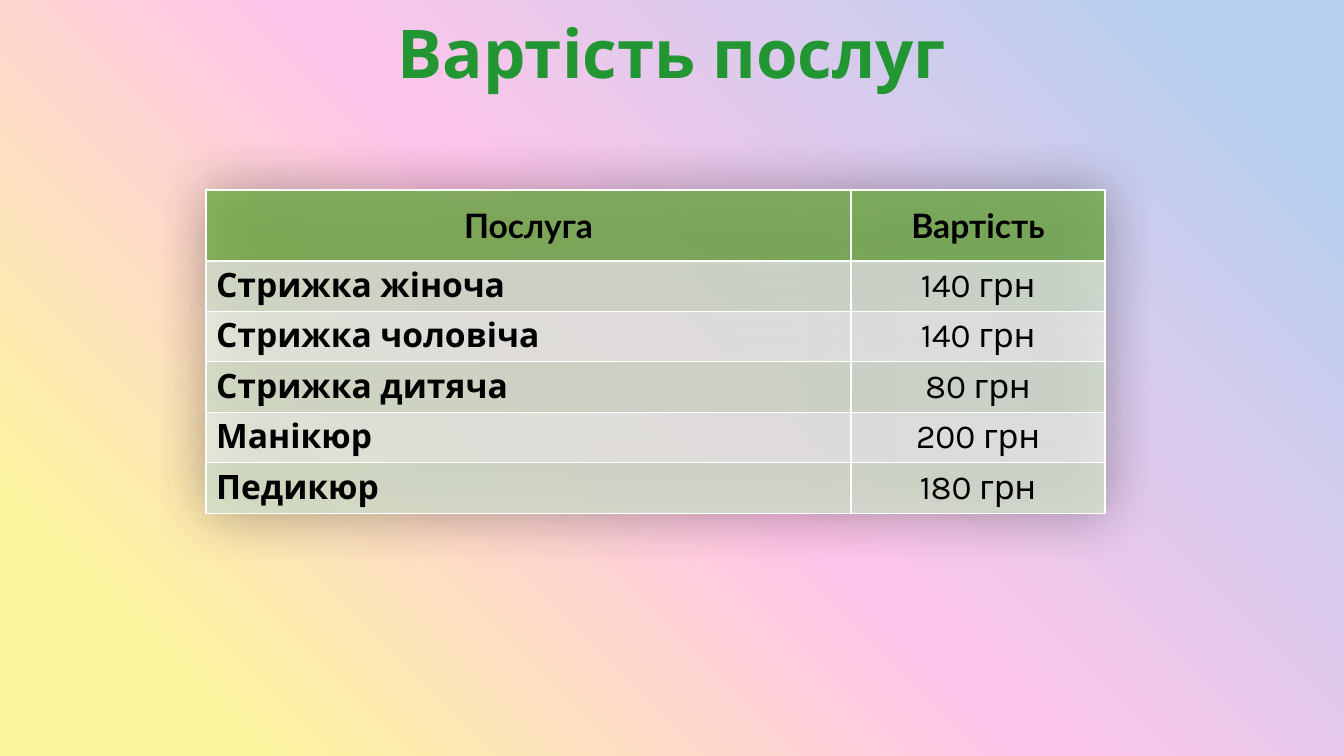
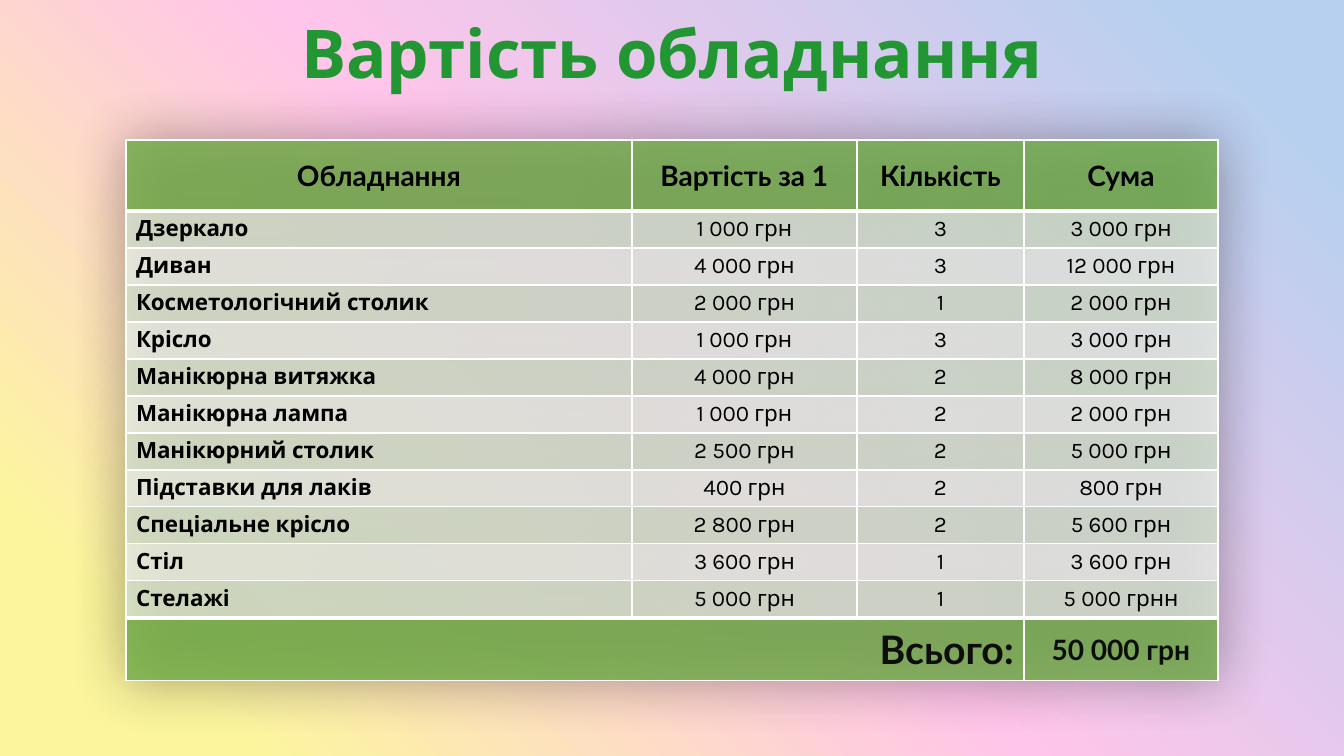
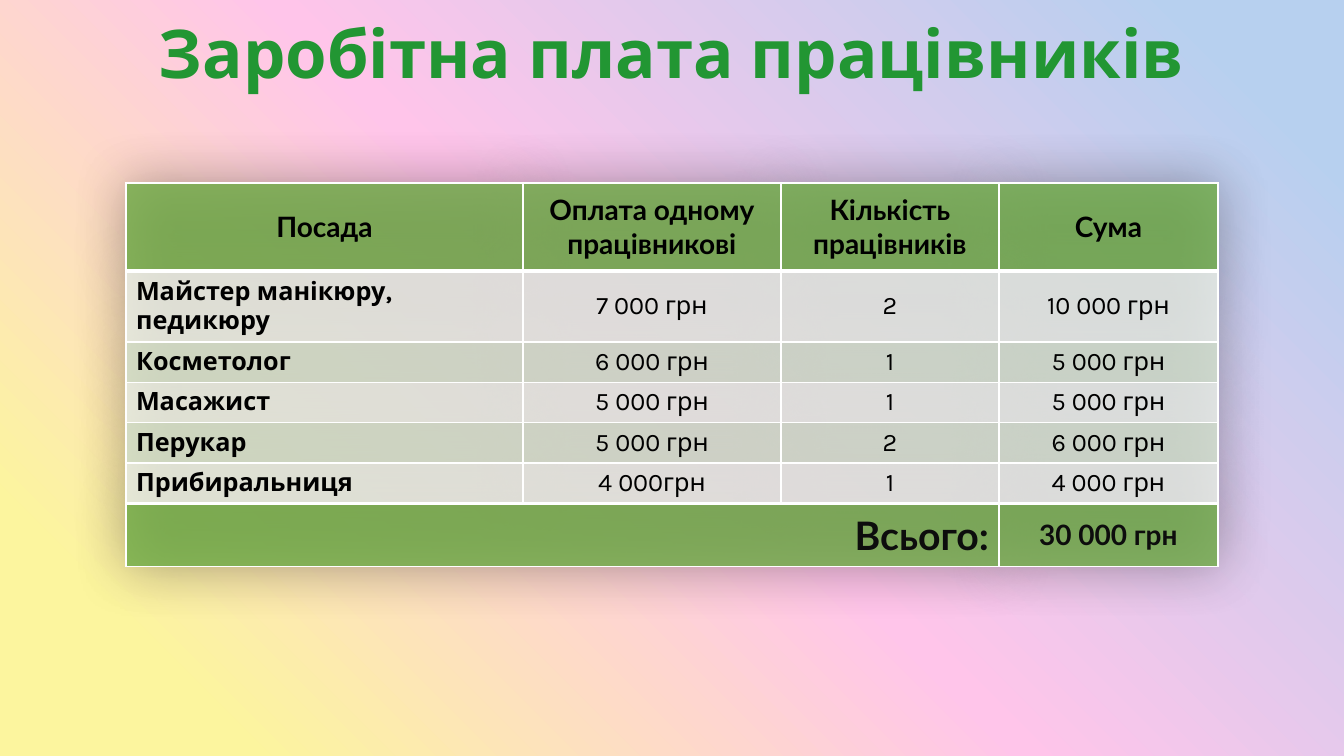
import dataclasses
import pptx
import pptx.dml.color
import pptx.enum.text
import pptx.oxml
import pptx.oxml.ns
import pptx.util

PX = 914400 / 100.8
NS = 'xmlns:a="http://schemas.openxmlformats.org/drawingml/2006/main"'
ALIGN = pptx.enum.text.PP_ALIGN
MIDDLE = pptx.enum.text.MSO_ANCHOR.MIDDLE


@dataclasses.dataclass(frozen=True)
class Theme:
    back: tuple = ((12, "FCF59E"), (49, "FFC5EA"), (92, "B7D0EF"))
    title: tuple = ("229633", "85CA3A")
    total: tuple = ("0D0D0D", "262626")
    ink: str = "000000"
    head: str = "70AD47"
    bands: tuple = ("D5E3CF", "EBF1E9")
    line: str = "FFFFFF"
    alpha: int = 80
    thin: int = 1
    thick: int = 3
    text_font: str = "Karla"
    head_font: str = "Lato"
    title_size: int = 48
    total_size: int = 28


def px(value):
    return pptx.util.Emu(round(value * PX))


def rgb(value):
    return pptx.dml.color.RGBColor.from_string(value)


def xml(text):
    """Parse a fragment whose root tag leaves a slot for the namespace."""
    return pptx.oxml.parse_xml(text.replace(" NS", " " + NS, 1))


class Deck:
    def __init__(self, theme):
        self.theme = theme
        self.file = pptx.Presentation()
        self.file.slide_width, self.file.slide_height = px(1344), px(756)
        self.slide = None
        self.paint()

    def paint(self):
        """Give the slide master the radial background of every slide."""
        stops = "".join(
            f'<a:gs pos="{pos * 1000}"><a:srgbClr val="{tint}"/></a:gs>'
            for pos, tint in self.theme.back)
        master = self.file.slide_master
        master.background.fill.solid()
        plain = master.element.find(".//" + pptx.oxml.ns.qn("p:bgPr"))[0]
        plain.getparent().replace(plain, xml(
            f'<a:gradFill NS rotWithShape="1"><a:gsLst>{stops}</a:gsLst>'
            '<a:path path="circle"><a:fillToRect t="100000" r="100000"/>'
            '</a:path></a:gradFill>'))

    def start(self, title):
        self.slide = self.file.slides.add_slide(self.file.slide_layouts[6])
        box = self.slide.shapes.add_textbox(px(0), px(6), px(1344), px(92))
        box.text_frame.word_wrap = True
        self.label(box.text_frame, title, ALIGN.CENTER, self.theme.title, 45,
                   size=self.theme.title_size, name=self.theme.text_font,
                   bold=True)

    def label(self, frame, text, align, tint, angle=90, **form):
        """Fill a frame; a pair of tints makes a gradient."""
        frame.text = text
        frame.vertical_anchor = MIDDLE
        form["size"] = pptx.util.Pt(form["size"])
        for para in frame.paragraphs:
            para.alignment = align
            font = para.runs[0].font
            for key, value in form.items():
                setattr(font, key, value)
            if isinstance(tint, str):
                font.color.rgb = rgb(tint)
                continue
            font.fill.gradient()
            font.fill.gradient_angle = angle
            for stop, value, pos in zip(font.fill.gradient_stops, tint, (0, 1)):
                stop.color.rgb, stop.position = rgb(value), pos

    def coat(self, cell, tint, top, bottom):
        """Set the borders and the translucent fill of a cell."""
        look = self.theme
        props = cell._tc.get_or_add_tcPr()
        sides = {"L": look.thin, "R": look.thin, "T": top, "B": bottom}
        for side, width in sides.items():
            props.append(xml(
                f'<a:ln{side} NS w="{width * 12700}"><a:solidFill>'
                f'<a:srgbClr val="{look.line}"/></a:solidFill></a:ln{side}>'))
        props.append(xml(
            f'<a:solidFill NS><a:srgbClr val="{tint}">'
            f'<a:alpha val="{look.alpha * 1000}"/></a:srgbClr></a:solidFill>'))

    def table(self, left, top, cols, heights, rows, sizes,
              total=None, rule=True, shift=0):
        """Draw a header, banded rows and, if given, a total line."""
        look = self.theme
        head, body = sizes
        rows = rows + ([("Всього:", *[""] * (len(cols) - 2), total)]
                       if total else [])
        grid = self.slide.shapes.add_table(
            len(rows), len(cols), px(left), px(top),
            px(sum(cols)), px(sum(heights))).table
        grid.first_row = grid.horz_banding = False
        grid._tbl.tblPr.insert(0, xml(
            '<a:effectLst NS><a:outerShdw blurRad="508000" algn="ctr" '
            'rotWithShape="0"><a:srgbClr val="000000"><a:alpha val="40000"/>'
            '</a:srgbClr></a:outerShdw></a:effectLst>'))
        for part, width in zip(grid.columns, cols):
            part.width = px(width)
        for part, height in zip(grid.rows, heights):
            part.height = px(height)

        last = len(rows) - 1 if total else len(rows)
        heavy = ({1} if rule else set()) | ({last} if total else set())
        for r, row in enumerate(rows):
            band = r not in (0, last)
            tint = look.bands[(r - 1 + shift) % 2] if band else look.head
            edges = [look.thick if n in heavy else look.thin
                     for n in (r, r + 1)]
            for c, text in enumerate(row):
                cell = grid.cell(r, c)
                self.coat(cell, tint, *edges)
                if not text:
                    continue
                align, size, ink = ALIGN.CENTER, head, look.ink
                if band:
                    size = body
                    align = ALIGN.CENTER if c else ALIGN.LEFT
                elif r == last:
                    ink = look.total
                    if c == 0:
                        align, size = ALIGN.RIGHT, look.total_size
                self.label(cell.text_frame, text, align, ink, size=size,
                           name=look.text_font if band else look.head_font,
                           bold=not band or c == 0)
                cell.vertical_anchor = MIDDLE
        if total:
            grid.cell(last, 0).merge(grid.cell(last, len(cols) - 2))


PRICES = [
    ("Послуга", "Вартість"),
    ("Стрижка жіноча", "140 грн"),
    ("Стрижка чоловіча", "140 грн"),
    ("Стрижка дитяча", "80 грн"),
    ("Манікюр", "200 грн"),
    ("Педикюр", "180 грн"),
]
GOODS = [
    ("Обладнання", "Вартість за 1", "Кількість", "Сума"),
    ("Дзеркало", "1 000 грн", "3", "3 000 грн"),
    ("Диван", "4 000 грн", "3", "12 000 грн"),
    ("Косметологічний столик", "2 000 грн", "1", "2 000 грн"),
    ("Крісло", "1 000 грн", "3", "3 000 грн"),
    ("Манікюрна витяжка", "4 000 грн", "2", "8 000 грн"),
    ("Манікюрна лампа", "1 000 грн", "2", "2 000 грн"),
    ("Манікюрний столик", "2 500 грн", "2", "5 000 грн"),
    ("Підставки для лаків", "400 грн", "2", "800 грн"),
    ("Спеціальне крісло", "2 800 грн", "2", "5 600 грн"),
    ("Стіл", "3 600 грн", "1", "3 600 грн"),
    ("Стелажі", "5 000 грн", "1", "5 000 грнн"),
]
WAGES = [
    ("Посада", "Оплата одному працівникові", "Кількість\nпрацівників", "Сума"),
    ("Майстер манікюру,\nпедикюру", "7 000 грн", "2", "10 000 грн"),
    ("Косметолог", "6 000 грн", "1", "5 000 грн"),
    ("Масажист", "5 000 грн", "1", "5 000 грн"),
    ("Перукар", "5 000 грн", "2", "6 000 грн"),
    ("Прибиральниця", "4 000грн", "1", "4 000 грн"),
]


def main():
    deck = Deck(Theme())
    deck.start("Вартість послуг")
    deck.table(206, 190, (645, 254), [71] + [49] * 5, PRICES, (24, 24),
               rule=False)
    deck.start("Вартість обладнання")
    deck.table(126, 140, (506, 225, 167, 194), [71] + [37] * 11 + [63],
               GOODS, (20, 16), total="50 000 грн")
    deck.start("Заробітна плата працівників")
    deck.table(126, 183, (397, 258, 218, 219), [88, 71] + [40] * 4 + [63],
               WAGES, (20, 18), total="30 000 грн", shift=1)
    deck.file.save("out.pptx")


if __name__ == "__main__":
    main()
